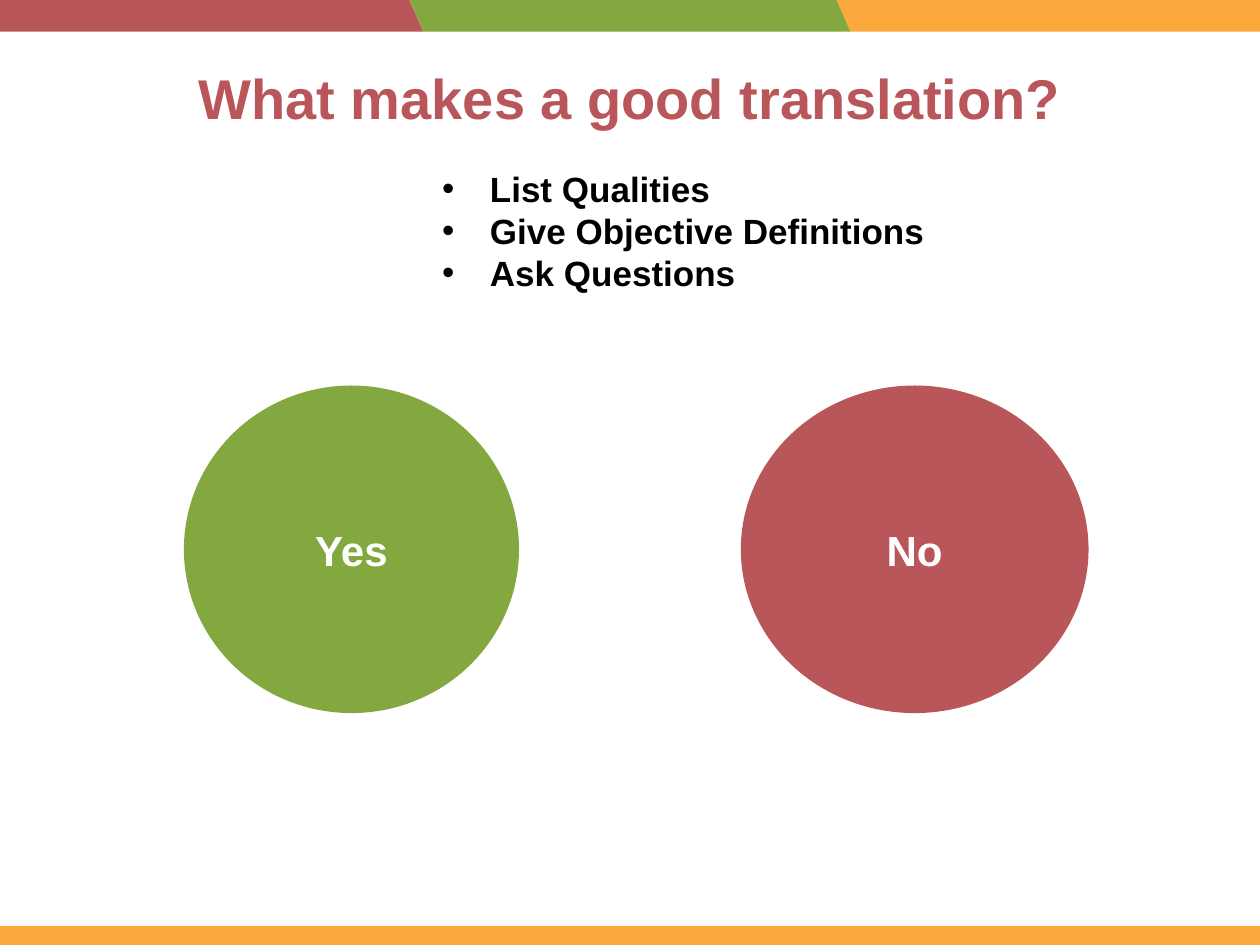
from lxml import etree
from pptx import Presentation
from pptx.dml.color import RGBColor
from pptx.enum import shapes, text
from pptx.oxml.ns import qn
from pptx.util import Inches, Pt

RED, GREEN, ORANGE = "B95659", "83A83F", "FBA93D"
WHITE, BLACK = "FFFFFF", "000000"


def add_filled_shape(kind, left, top, width, height, color):
    shape = slide.shapes.add_shape(
        kind, Inches(left), Inches(top), Inches(width), Inches(height))
    shape.shadow.inherit = False
    shape.fill.solid()
    shape.fill.fore_color.rgb = RGBColor.from_string(color)
    shape.line.fill.background()
    return shape


def write_paragraph(paragraph, words, color, size, alignment):
    run = paragraph.add_run()
    run.text = words
    font_format = {"name": "Arial", "size": Pt(size), "bold": True}
    for name, value in font_format.items():
        setattr(run.font, name, value)
    run.font.color.rgb = RGBColor.from_string(color)
    paragraph.alignment = alignment


presentation = Presentation()
presentation.slide_width = Inches(10)
presentation.slide_height = Inches(7.5)
slide = presentation.slides.add_slide(presentation.slide_layouts[6])

# Slanted bands along the top, equally spaced, with green above its neighbours
for position, color in [(2, ORANGE), (0, RED), (1, GREEN)]:
    band = add_filled_shape(shapes.MSO_SHAPE.PARALLELOGRAM,
                            -0.14 + 3.39 * position, 0, 3.5, 0.25, color)
    band.adjustments[0] = 0.44
    band._element.spPr.find(qn("a:xfrm")).set("flipH", "1")

# Footer bar
add_filled_shape(shapes.MSO_SHAPE.RECTANGLE, 0, 7.35, 10, 0.15, ORANGE)

# Answer circles
for words, left, width, color in [("No", 5.88, 2.76, RED),
                                  ("Yes", 1.46, 2.66, GREEN)]:
    circle = add_filled_shape(shapes.MSO_SHAPE.OVAL, left, 3.06, width, 2.6, color)
    circle.text_frame.vertical_anchor = text.MSO_ANCHOR.MIDDLE
    write_paragraph(circle.text_frame.paragraphs[0], words, WHITE, 24,
                    text.PP_ALIGN.CENTER)

# Title
title = slide.shapes.add_textbox(Inches(0.69), Inches(0.42), Inches(8.62), Inches(0.7))
title.text_frame.word_wrap = True
title.text_frame.vertical_anchor = text.MSO_ANCHOR.MIDDLE
write_paragraph(title.text_frame.paragraphs[0], "What makes a good translation?",
                RED, 32, text.PP_ALIGN.CENTER)

# Bulleted steps
steps = slide.shapes.add_textbox(Inches(3.41), Inches(1.28), Inches(4.58), Inches(1.11))
steps.text_frame.word_wrap = True
for index, words in enumerate(["List Qualities", "Give Objective Definitions",
                               "Ask Questions"]):
    paragraph = (steps.text_frame.add_paragraph() if index
                 else steps.text_frame.paragraphs[0])
    write_paragraph(paragraph, words, BLACK, 20, text.PP_ALIGN.LEFT)
    properties = paragraph._p.get_or_add_pPr()
    properties.set("marL", str(Inches(0.38)))
    properties.set("indent", str(-Inches(0.38)))
    etree.SubElement(properties, qn("a:buFont"), typeface="Arial")
    etree.SubElement(properties, qn("a:buChar"), char="•")

presentation.save("out.pptx")
